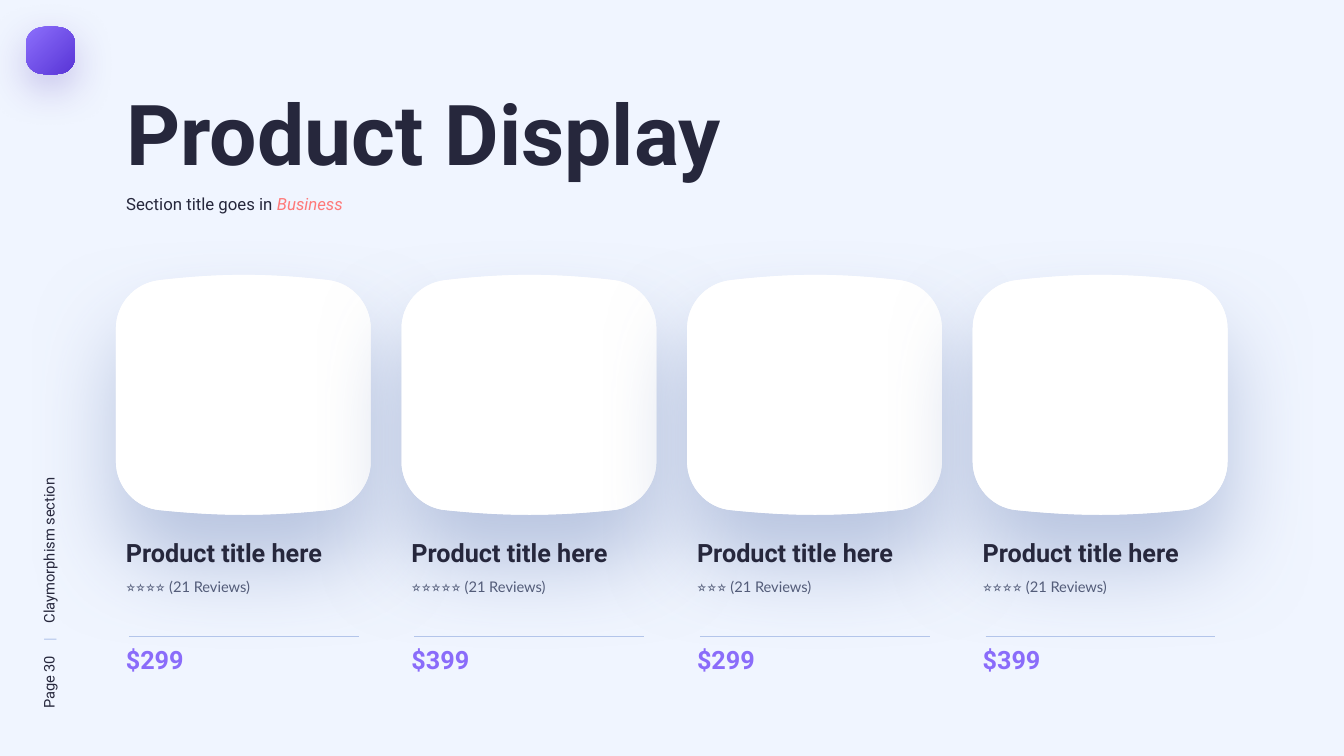
from lxml import etree
from pptx import Presentation
from pptx.dml.color import RGBColor
from pptx.enum.shapes import MSO_CONNECTOR
from pptx.enum.text import MSO_ANCHOR, MSO_AUTO_SIZE, PP_ALIGN
from pptx.oxml.ns import qn
from pptx.util import Pt

STRAIGHT = MSO_CONNECTOR.STRAIGHT
TOP, LEFT, NO_FIT = MSO_ANCHOR.TOP, PP_ALIGN.LEFT, MSO_AUTO_SIZE.NONE

BACKGROUND = RGBColor(0xF0, 0xF5, 0xFF)
INK = RGBColor(0x26, 0x27, 0x3C)
SLATE = RGBColor(0x53, 0x5C, 0x79)
CORAL = RGBColor(0xFF, 0x79, 0x79)
RULE = RGBColor(0xB3, 0xC5, 0xEA)
VIOLET = RGBColor(0x8A, 0x6C, 0xFA)
DEEP_VIOLET = RGBColor(0x5B, 0x38, 0xD8)
BADGE_SHADOW = RGBColor(0x3F, 0x21, 0xAB)
CARD_SHADOW = RGBColor(0x93, 0xA4, 0xCB)
WHITE = RGBColor(0xFF, 0xFF, 0xFF)

# Outlines: x from the shape's left, y on the page.
# A piece is a line (end) or a Bezier curve (control, control, end).
BADGE_OUTLINE = [
    [(0, 30.2)],
    [(0, 24.5), (5, 20), (10.8, 19.4)],
    [(15.1, 18.7), (19.4, 18.7), (23.8, 19.4)],
    [(29.6, 20), (34.6, 24.5), (34.6, 30.2)],
    [(34.6, 41.8)],
    [(34.6, 47.5), (29.6, 52.2), (23.8, 52.7)],
    [(19.4, 53.3), (15.1, 53.3), (10.8, 52.7)],
    [(5, 52.2), (0, 47.5), (0, 41.8)],
]
CARD_OUTLINE = [
    [(0, 234.7)],
    [(0, 217.4), (13, 202.3), (31, 200.2)],
    [(74.9, 195.1), (108, 195.1), (152, 200.2)],
    [(169, 202.3), (182, 217.4), (182, 234.7)],
    [(182, 329.8)],
    [(182, 347), (168.5, 362.9), (151, 364.4)],
    [(108, 368.8), (74.9, 368.8), (31.5, 364.4)],
    [(13.5, 362.9), (0, 347), (0, 329.8)],
]


def add_text(box, spans, size, font="Roboto", bold=False):
    """Fill a box with one paragraph of (text, colour) spans."""
    frame = box.text_frame
    frame.word_wrap = True
    frame.auto_size = NO_FIT
    frame.vertical_anchor = TOP
    para = frame.paragraphs[0]
    para.alignment = LEFT
    para.font.name, para.font.size, para.font.bold = font, Pt(size), bold
    for text, color in spans:
        span = para.add_run()
        span.text = text
        span.font.color.rgb = color
    return para


def add_outline(left, pieces, shadow=None):
    """Draw a curved outline; shadow is (colour, opacity, blur, distance)."""
    points = [(Pt(left + x), Pt(y)) for piece in pieces for x, y in piece]
    builder = shapes.build_freeform(*points[0])
    builder.add_line_segments(points[1:], close=True)
    shape = builder.convert_to_shape()
    # Gather each group of three line points into one Bezier curve
    geometry = next(shape._element.iter(qn("a:path")))
    lines = iter(geometry.findall(qn("a:lnTo")))
    for piece in pieces[1:]:
        first = next(lines)
        if len(piece) == 3:
            curve = etree.Element(qn("a:cubicBezTo"))
            first.addprevious(curve)
            for line in (first, next(lines), next(lines)):
                curve.append(line[0])
                geometry.remove(line)
    shape.line.fill.background()
    shape.shadow.inherit = False
    if shadow:
        color, opacity, blur, distance = shadow
        drop = etree.SubElement(
            shape._element.spPr.find(qn("a:effectLst")), qn("a:outerShdw"),
            blurRad=str(Pt(blur)), dist=str(Pt(distance)),
            dir="5400000", algn="t", rotWithShape="0")
        tint = etree.SubElement(drop, qn("a:srgbClr"), val=str(color))
        etree.SubElement(tint, qn("a:alpha"), val=str(opacity * 1000))
    return shape


deck = Presentation()
deck.slide_width, deck.slide_height = Pt(960), Pt(540)
page = deck.slides.add_slide(deck.slide_layouts[5])
page.background.fill.solid()
page.background.fill.fore_color.rgb = BACKGROUND
shapes = page.shapes

# Vertical page label, spaced with tab stops
label = shapes.add_textbox(Pt(-80), Pt(387.5), Pt(231), Pt(21))
label.rotation = 270
label_para = add_text(
    label, [("Page 30\t", INK), ("|\t", RULE), ("Claymorphism section", INK)], 10.5)
tabs = etree.Element(qn("a:tabLst"))
for position in (48.5, 61.3):
    etree.SubElement(tabs, qn("a:tab"), pos=str(Pt(position)), algn="l")
label_para._p.get_or_add_pPr().insert(0, tabs)

# Corner badge: shadowed base and face
for shadow in ((BADGE_SHADOW, 25, 30, 10), None):
    badge = add_outline(18.7, BADGE_OUTLINE, shadow)
    badge.fill.gradient()
    badge.fill.gradient_angle = 315
    for stop, color, position in zip(
            badge.fill.gradient_stops, (VIOLET, DEEP_VIOLET), (0.05, 0.95)):
        stop.color.rgb = color
        stop.position = position

# Title and subtitle
title = shapes.title
title.left, title.top, title.width, title.height = Pt(83), Pt(54.8), Pt(618), Pt(80)
add_text(title, [("Product Display", INK)], 60, bold=True)
subtitle = shapes.add_textbox(Pt(83), Pt(134.6), Pt(256), Pt(22))
subtitle_para = add_text(
    subtitle, [("Section title goes in ", INK), ("Business", CORAL)], 12)
subtitle_para.runs[1].font.italic = True

# Product cards: shadowed base and face
products = [(4, "$299"), (5, "$399"), (3, "$299"), (4, "$399")]
columns = [82.8 + 204 * index for index in range(len(products))]
for left in columns:
    for shadow in ((CARD_SHADOW, 60, 62, 35), None):
        card = add_outline(left, CARD_OUTLINE, shadow)
        card.fill.solid()
        card.fill.fore_color.rgb = WHITE

# Product details, above all shadows
for left, (stars, price) in zip(columns, products):
    details = [
        (380.2, 182, 29, "Product title here", INK, 18, "Roboto", True),
        (409, 152, 21, "⭐" * stars + " (21 Reviews)", SLATE, 10.5, "Lato", False),
        (456.5, 182, 29, price, VIOLET, 18, "Roboto", True),
    ]
    for top, width, height, text, color, size, font, bold in details:
        box = shapes.add_textbox(Pt(left), Pt(top), Pt(width), Pt(height))
        add_text(box, [(text, color)], size, font, bold)
    rule = shapes.add_connector(
        STRAIGHT, Pt(left + 9.2), Pt(454.6), Pt(left + 173.4), Pt(454.6))
    rule.line.color.rgb = RULE
    rule.line.width = Pt(1)
    etree.SubElement(rule._element.spPr, qn("a:effectLst"))

deck.save("out.pptx")
